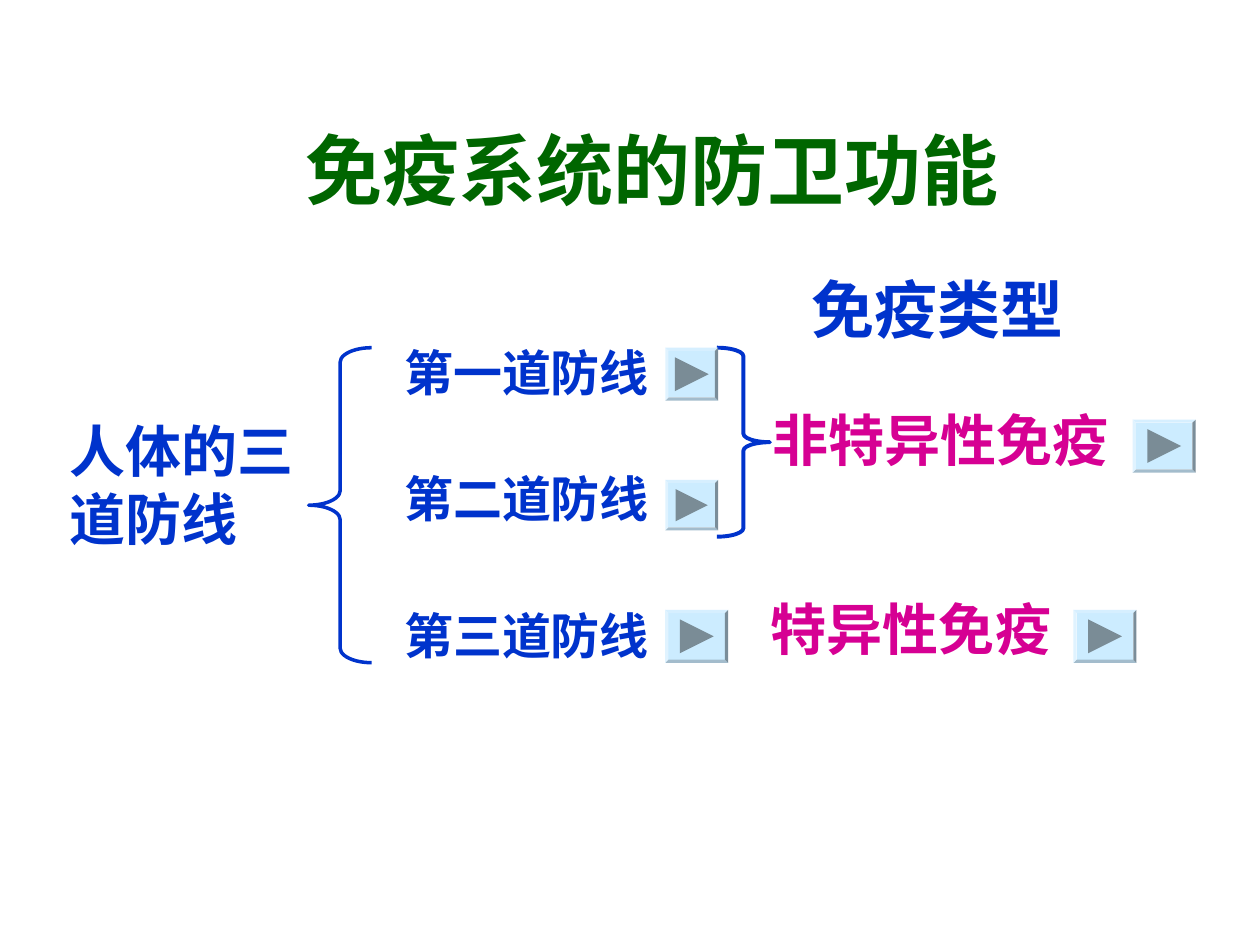
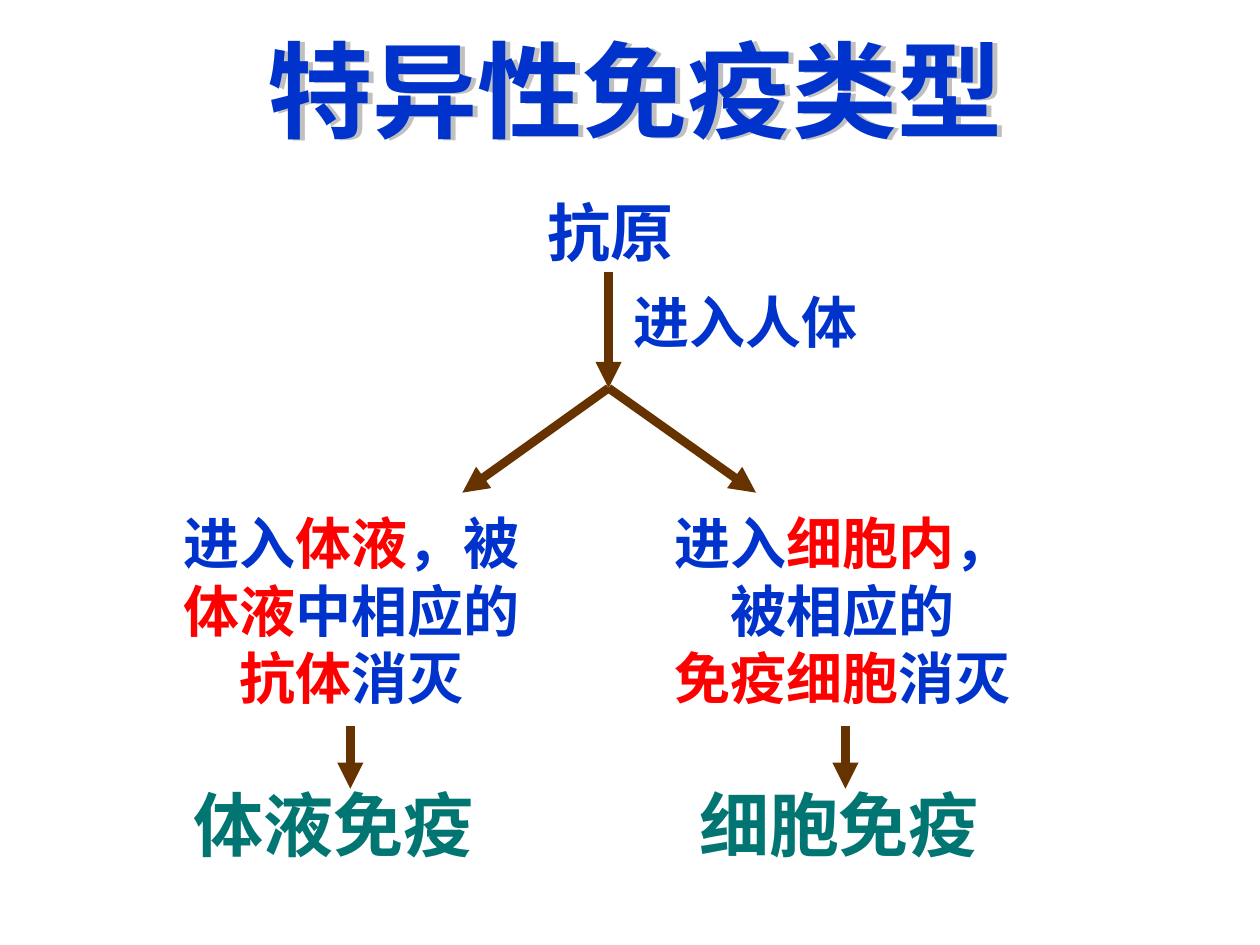
from typing import NamedTuple

from lxml.etree import SubElement
from pptx import Presentation
from pptx.dml.color import RGBColor
from pptx.enum.shapes import MSO_CONNECTOR, MSO_SHAPE
from pptx.enum.text import MSO_ANCHOR, PP_ALIGN
from pptx.oxml.ns import qn
from pptx.util import Inches, Pt

HUES = {
    "blue": "0033CC", "pink": "D60093", "green": "006600", "teal": "007572",
    "red": "FF0000", "brown": "663300", "sky": "CCECFF", "slate": "7A8C96",
    "grey": "C0C0C0",
}
SERIF, SANS, HAN = "Times New Roman", "Arial", "Noto Sans CJK SC"
MARK = "*"  # text between two marks is red


class Label(NamedTuple):
    text: str
    left: float
    top: float
    width: float
    height: float
    size: int = 32
    hue: str = "blue"
    face: str = SERIF
    align: PP_ALIGN = PP_ALIGN.LEFT
    anchor: MSO_ANCHOR = MSO_ANCHOR.TOP
    shade: bool = False


class Brace(NamedTuple):
    kind: MSO_SHAPE
    left: float
    width: float
    height: float
    curl: float
    weight: float


class Button(NamedTuple):
    left: float
    top: float
    width: float
    height: float = 0.42


class Arrow(NamedTuple):
    x1: float
    y1: float
    x2: float
    y2: float


def color(name: str) -> RGBColor:
    return RGBColor.from_string(HUES[name])


def apply(item, **values) -> None:
    for key, value in values.items():
        setattr(item, key, value)


def add_shade(box) -> None:
    """Give the text of an unfilled box a grey drop shadow."""
    list_ = SubElement(box._element.spPr, qn("a:effectLst"))
    drop = SubElement(list_, qn("a:outerShdw"), blurRad="0",
                      dist=str(Inches(0.04)), dir="1200000")
    SubElement(drop, qn("a:srgbClr"), val=HUES["grey"])


def add_label(slide, item: Label) -> None:
    box = slide.shapes.add_textbox(*map(Inches, item[1:5]))
    frame = box.text_frame
    apply(frame, word_wrap=True, vertical_anchor=item.anchor)
    if item.shade:
        add_shade(box)
    for row, line in enumerate(item.text.split("\n")):
        para = frame.add_paragraph() if row else frame.paragraphs[0]
        apply(para, alignment=item.align, line_spacing=Pt(item.size * 1.2))
        for turn, part in enumerate(line.split(MARK)):
            if not part:
                continue
            run = para.add_run()
            run.text = part
            apply(run.font, size=Pt(item.size), bold=True, name=item.face)
            run.font.color.rgb = color("red" if turn % 2 else item.hue)
            props = run.font._element
            props.find(qn("a:latin")).addnext(
                props.makeelement(qn("a:ea"), {"typeface": HAN}))


def add_brace(slide, item: Brace) -> None:
    shape = slide.shapes.add_shape(
        item.kind, *map(Inches, (item.left, 2.76, item.width, item.height)))
    shape.shadow.inherit = False
    shape.adjustments[0] = item.curl
    shape.fill.background()
    shape.line.color.rgb = color("blue")
    shape.line.width = Pt(item.weight)


def paint(shape, hue: str) -> None:
    shape.shadow.inherit = False
    shape.fill.solid()
    shape.fill.fore_color.rgb = color(hue)
    shape.line.fill.background()


def add_button(slide, item: Button) -> None:
    plate = slide.shapes.add_shape(MSO_SHAPE.BEVEL, *map(Inches, item))
    plate.adjustments[0] = 0.06
    paint(plate, "sky")
    # Play sign in the middle of the plate
    half = item.height * 0.32
    x, y = item.left + item.width / 2, item.top + item.height / 2
    pen = slide.shapes.build_freeform(Inches(x - half), Inches(y - half))
    pen.add_line_segments([(Inches(x + half), Inches(y)),
                           (Inches(x - half), Inches(y + half))])
    paint(pen.convert_to_shape(), "slate")


def add_arrow(slide, item: Arrow) -> None:
    line = slide.shapes.add_connector(
        MSO_CONNECTOR.STRAIGHT, *map(Inches, item))
    line.line.color.rgb = color("brown")
    line.line.width = Pt(5)
    SubElement(line.line._get_or_add_ln(), qn("a:tailEnd"), type="triangle")
    SubElement(line._element.spPr, qn("a:effectLst"))


DRAW = {Label: add_label, Brace: add_brace, Button: add_button,
        Arrow: add_arrow}

# Slide 1: three lines of defence
DEFENCE = [
    Brace(MSO_SHAPE.LEFT_BRACE, 2.45, 0.5, 2.5, 0.23, 2),
    Brace(MSO_SHAPE.RIGHT_BRACE, 5.69, 0.42, 1.5, 0.16, 2.25),
    *(Label(f"第{rank}道防线", 3.11, top, 2.3, 0.57, 28)
      for rank, top in zip("一二三", (2.67, 3.67, 4.76))),
    Label("人体的三道防线", 0.45, 3.26, 2.08, 1.17, face=HAN),
    Label("特异性免疫", 6.02, 4.67, 2.58, 0.64, hue="pink"),
    Label("非特异性免疫", 6.03, 3.17, 2.92, 0.64, hue="pink"),
    Button(5.28, 2.76, 0.42),
    Button(5.28, 3.81, 0.42, 0.4),
    Button(5.28, 4.84, 0.5),
    Button(8.52, 4.84, 0.5),
    Button(8.99, 3.33, 0.5),
    Label("免疫系统的防卫功能", 2.33, 0.92, 5.9, 0.84, 44, "green", SANS),
    Label("免疫类型", 6.34, 2.1, 2.61, 0.7, 36, face=SANS),
]

# Slide 2: two kinds of specific immunity
FORK = (4.83, 3.08)
KINDS = [
    Label("特异性免疫类型", 0.83, 0.25, 8.42, 1, 60, face=HAN,
          align=PP_ALIGN.CENTER, anchor=MSO_ANCHOR.BOTTOM, shade=True),
    Label("抗原", 4.25, 1.49, 1.91, 0.7, 36),
    Label("进入人体", 4.93, 2.23, 2.02, 0.64),
    Arrow(4.83, 2.16, *FORK),
    *(Arrow(*FORK, x, 3.91) for x in (3.67, 6)),
    Label("进入*体液*，被*体液*中相应的*抗体*消灭", 1.25, 3.99, 3.08, 1.7,
          align=PP_ALIGN.CENTER),
    Label("进入*细胞内*，被相应的\n*免疫细胞*消灭", 5.08, 3.99, 3.21, 1.7,
          align=PP_ALIGN.CENTER),
    *(Arrow(x, 5.76, x, 6.26) for x in (2.78, 6.71)),
    Label("体液免疫", 1.44, 6.15, 2.92, 0.77, 40, "teal"),
    Label("细胞免疫", 5.45, 6.15, 2.79, 0.77, 40, "teal"),
]


def main() -> None:
    deck = Presentation()
    apply(deck, slide_width=Inches(10), slide_height=Inches(7.5))
    for items in (DEFENCE, KINDS):
        slide = deck.slides.add_slide(deck.slide_layouts[6])
        for item in items:
            DRAW[type(item)](slide, item)
    deck.save("out.pptx")


if __name__ == "__main__":
    main()
